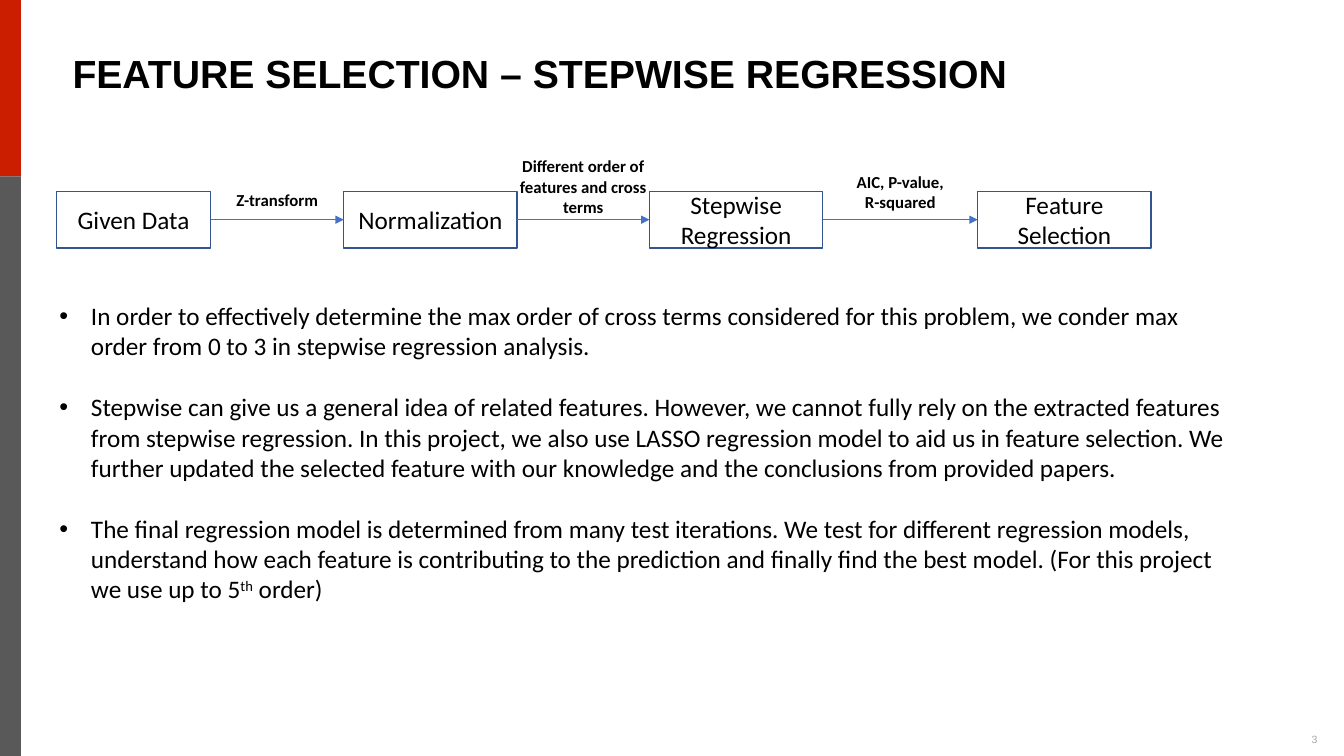
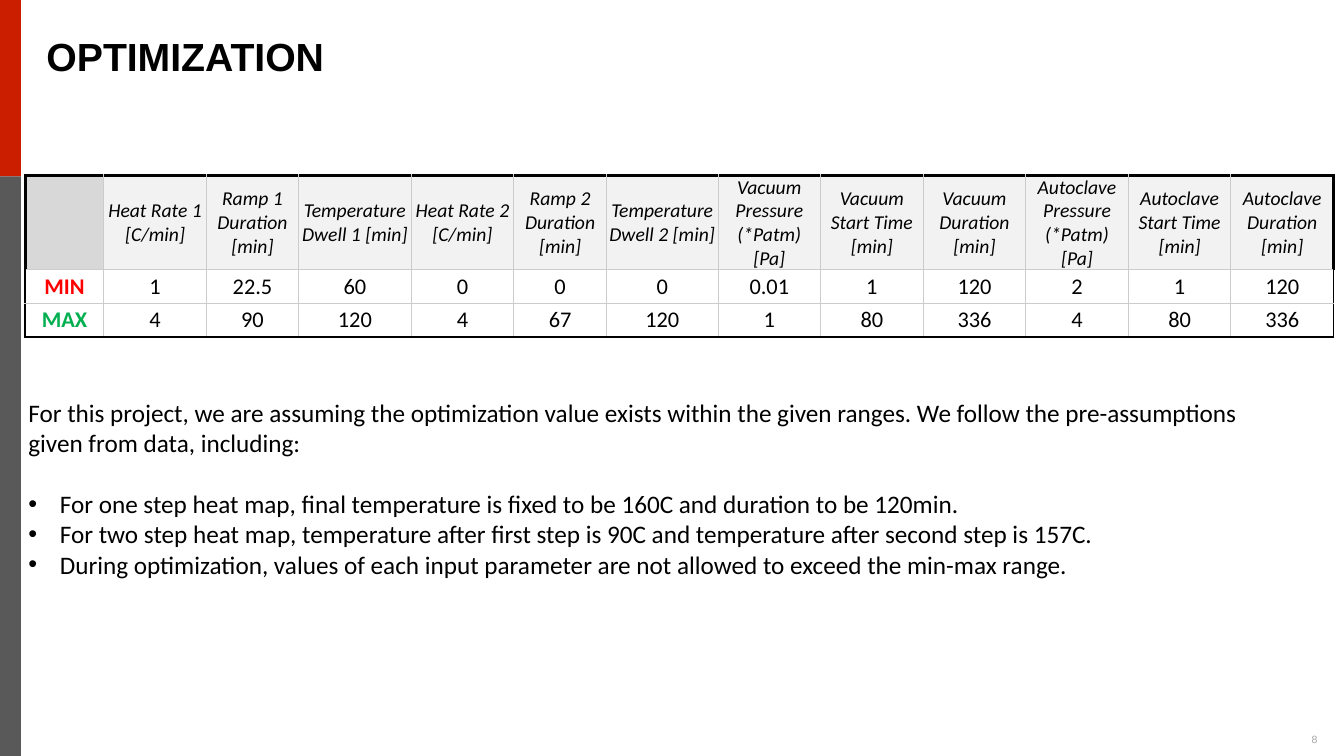
from lxml import etree
from pptx import Presentation
from pptx.dml.color import RGBColor
from pptx.enum import shapes, text
from pptx.oxml.ns import qn
from pptx.util import Pt

RED, GREY, BLACK = "CB1D00", "595959", "000000"
BOX_LINE, ARROW, RULE = "325491", "4472C4", "CCCCCC"
LEFT, CENTER = text.PP_ALIGN.LEFT, text.PP_ALIGN.CENTER
MIDDLE = text.MSO_ANCHOR.MIDDLE


def rgb(color):
    return RGBColor.from_string(color)


def style(tf, size, color=BLACK, font="Calibri", bold=False, italic=False, align=LEFT):
    """Format every paragraph and run of a text frame."""
    for p in tf.paragraphs:
        p.alignment = align
        for r in p.runs:
            f = r.font
            f.size, f.name, f.bold, f.italic = Pt(size), font, bold, italic
            f.color.rgb = rgb(color)


prs = Presentation()
prs.slide_width, prs.slide_height = Pt(960), Pt(540)

# Each body item: text, bulleted, space before
pages = [
    dict(
        title="FEATURE SELECTION – STEPWISE REGRESSION", number="3",
        title_at=(44.6, 28.8, 828, 50.4), body_at=(35.3, 211, 847.4, 225.4),
        body=[
            ("In order to effectively determine the max order of cross terms considered for this "
             "problem, we conder max order from 0 to 3 in stepwise regression analysis.", True, 0),
            ("Stepwise can give us a general idea of related features. However, we cannot fully rely "
             "on the extracted features from stepwise regression. In this project, we also use LASSO "
             "regression model to aid us in feature selection. We further updated the selected feature "
             "with our knowledge and the conclusions from provided papers.", True, 22),
            ("The final regression model is determined from many test iterations. We test for different "
             "regression models, understand how each feature is contributing to the prediction and "
             "finally find the best model. (For this project we use up to 5", True, 22),
        ],
    ),
    dict(
        title="OPTIMIZATION", number="8",
        title_at=(26, 0, 886, 83.6), body_at=(13, 280, 899.3, 138.2),
        body=[
            ("For this project, we are assuming the optimization value exists within the given ranges. "
             "We follow the pre-assumptions given from data, including:", False, 0),
            ("For one step heat map, final temperature is fixed to be 160C and duration to be 120min.",
             True, 22),
            ("For two step heat map, temperature after first step is 90C and temperature after second "
             "step is 157C.", True, 0),
            ("During optimization, values of each input parameter are not allowed to exceed the "
             "min-max range.", True, 0),
        ],
    ),
]

# Shared parts: side bands, page number, title and body
for page in pages:
    s = prs.slides.add_slide(prs.slide_layouts[1])
    for top, height, color in ((0, 126, RED), (126, 414, GREY)):
        sp = s.shapes.add_shape(shapes.MSO_SHAPE.RECTANGLE, 0, Pt(top), Pt(15), Pt(height))
        sp.shadow.inherit = False
        sp.fill.solid()
        sp.fill.fore_color.rgb = rgb(color)
        sp.line.fill.background()

    tf = s.shapes.add_textbox(Pt(920), Pt(520.6), Pt(38), Pt(19.4)).text_frame
    tf.word_wrap = True
    tf.margin_top = tf.margin_bottom = Pt(3)
    tf.text = page["number"]
    style(tf, 7.5, "A6A6A6", "Arial", align=CENTER)

    title, body = s.shapes.title, s.placeholders[1]
    for sp, at in ((title, page["title_at"]), (body, page["body_at"])):
        sp.left, sp.top, sp.width, sp.height = map(Pt, at)
        sp.text_frame.auto_size = text.MSO_AUTO_SIZE.NONE

    tf = title.text_frame
    tf.text = page["title"]
    tf.vertical_anchor = MIDDLE
    tf.paragraphs[0].line_spacing = 0.9
    style(tf, 28, font="Arial", bold=True)

    tf = body.text_frame
    tf.text = "\n".join(item[0] for item in page["body"])
    for p, (_, bulleted, gap) in zip(tf.paragraphs, page["body"]):
        p.space_before = Pt(gap)
        indent = Pt(22.5) if bulleted else 0
        pPr = p._p.get_or_add_pPr()
        pPr.set("marL", str(indent))
        pPr.set("indent", str(-indent))
        if not bulleted:
            etree.SubElement(pPr, qn("a:buNone"))
    style(tf, 18)

feature_slide, range_slide = prs.slides

# Superscript ending of the last bullet
tf = feature_slide.placeholders[1].text_frame
p = tf.paragraphs[-1]
for ending, baseline in (("th", "30000"), (" order)", "0")):
    r = p.add_run()
    r.text = ending
    r.font._element.set("baseline", baseline)
style(tf, 18)

# Process flow: boxes, then an arrow with its label in each gap
boxes = []
for name, left, width in (("Given Data", 40.3, 110.2), ("Normalization", 245.5, 123.8),
                          ("Stepwise Regression", 463.9, 123.8), ("Feature Selection", 698.4, 123.8)):
    sp = feature_slide.shapes.add_shape(
        shapes.MSO_SHAPE.RECTANGLE, Pt(left), Pt(136.8), Pt(width), Pt(40.3))
    sp.shadow.inherit = False
    sp.fill.background()
    sp.line.color.rgb = rgb(BOX_LINE)
    sp.line.width = Pt(1)
    sp.text_frame.text = name
    sp.text_frame.vertical_anchor = MIDDLE
    style(sp.text_frame, 18, align=CENTER)
    boxes.append(sp)

labels = [("Z-transform", 131.8, 132, 21.6),
          ("Different order of features and cross terms", 108, 107, 51),
          ("AIC, P-value, R-squared", 118.8, 84, 36)]
for start, end, (label, top, width, height) in zip(boxes, boxes[1:], labels):
    arrow = feature_slide.shapes.add_connector(shapes.MSO_CONNECTOR.STRAIGHT, 0, 0, 0, 0)
    arrow.begin_connect(start, 3)
    arrow.end_connect(end, 1)
    arrow.line.color.rgb = rgb(ARROW)
    arrow.line.width = Pt(1)
    etree.SubElement(arrow.line._get_or_add_ln(), qn("a:tailEnd"), type="triangle")
    etree.SubElement(arrow._element.spPr, qn("a:effectLst"))

    middle = (start.left + start.width + end.left) // 2
    tf = feature_slide.shapes.add_textbox(
        middle - Pt(width) // 2, Pt(top), Pt(width), Pt(height)).text_frame
    tf.word_wrap = True
    tf.text = label
    style(tf, 12, bold=True, align=CENTER)

# Parameter ranges
rows = [
    ["", "Heat Rate 1 [C/min]", "Ramp 1 Duration [min]", "Temperature Dwell 1 [min]",
     "Heat Rate 2 [C/min]", "Ramp 2 Duration [min]", "Temperature Dwell 2 [min]",
     "Vacuum Pressure (*Patm) [Pa]", "Vacuum Start Time [min]", "Vacuum Duration [min]",
     "Autoclave Pressure (*Patm) [Pa]", "Autoclave Start Time [min]", "Autoclave Duration [min]"],
    ["MIN", "1", "22.5", "60", "0", "0", "0", "0.01", "1", "120", "2", "1", "120"],
    ["MAX", "4", "90", "120", "4", "67", "120", "1", "80", "336", "4", "80", "336"],
]
widths = [56.2, 73.3, 65.8, 80.5, 73.3, 66.2, 79.7] + [73.3] * 6
heights = [60.5, 24, 24]
row_colors = [BLACK, "FF0000", "00B050"]
last_row, last_col = len(rows) - 1, len(widths) - 1

table = range_slide.shapes.add_table(
    len(rows), len(widths), Pt(18), Pt(125.3), Pt(sum(widths)), Pt(sum(heights))).table
table.first_row = table.horz_banding = False
for col, width in zip(table.columns, widths):
    col.width = Pt(width)
for row, height in zip(table.rows, heights):
    row.height = Pt(height)

for i, values in enumerate(rows):
    header = i == 0
    for j, value in enumerate(values):
        cell = table.cell(i, j)
        cell.margin_left = cell.margin_right = Pt(1.5)
        cell.margin_top = cell.margin_bottom = 0
        cell.vertical_anchor = MIDDLE
        cell.text = value
        first = j == 0
        style(cell.text_frame, 14 if header else 16, row_colors[i] if first else BLACK,
              bold=first, italic=header, align=CENTER)

        outer = {"lnL": first, "lnR": j == last_col, "lnT": header, "lnB": i == last_row}
        for side, is_outer in outer.items():
            weight = (2.25 if header else 1.5) if is_outer else 0.75
            ln = etree.SubElement(cell._tc.get_or_add_tcPr(), qn("a:" + side), w=str(Pt(weight)))
            fill = etree.SubElement(ln, qn("a:solidFill"))
            etree.SubElement(fill, qn("a:srgbClr"), val=BLACK if is_outer else RULE)

        if header:
            cell.fill.solid()
            cell.fill.fore_color.rgb = rgb("D8D8D8" if first else "F2F2F2")
        else:
            cell.fill.background()

prs.save("out.pptx")
